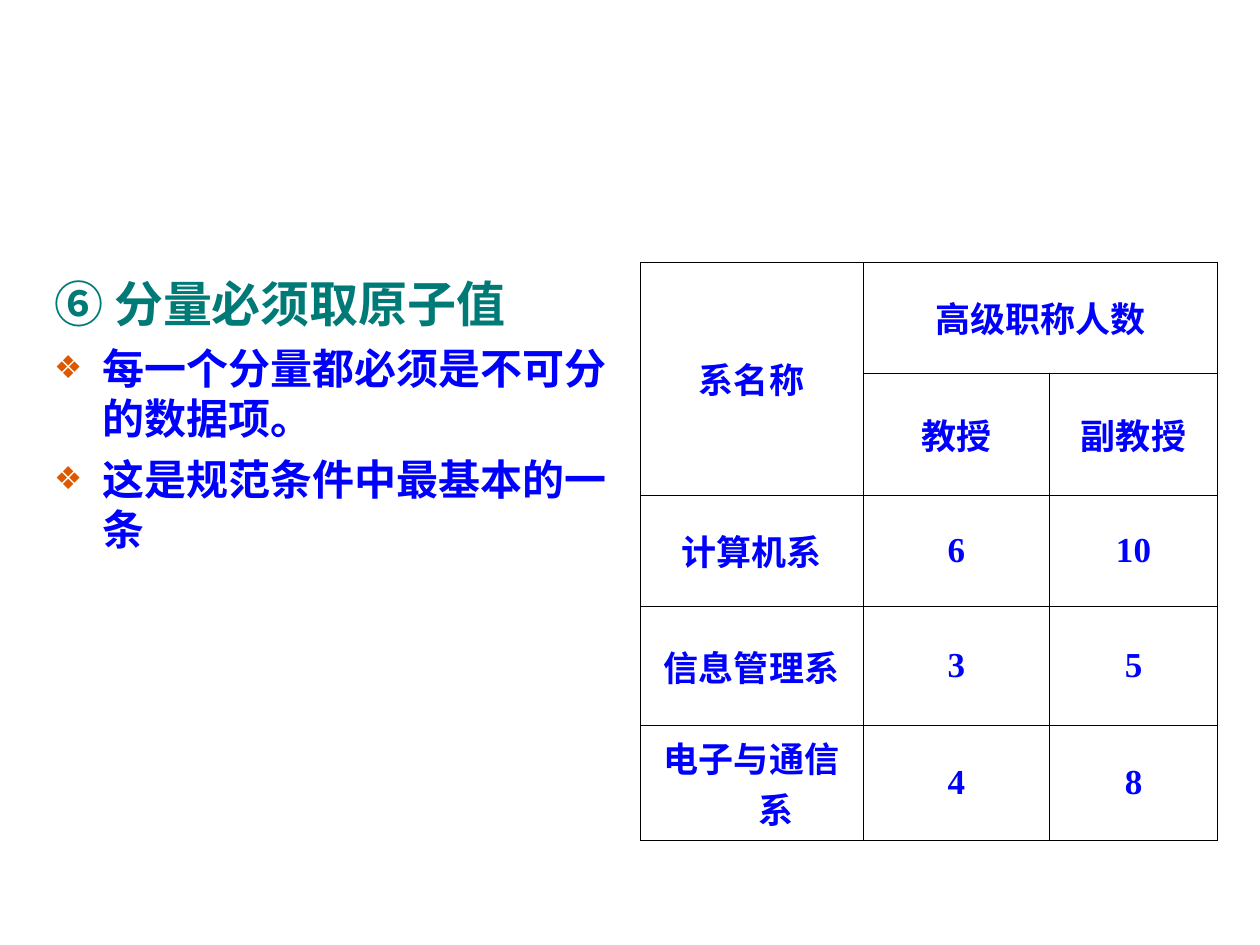
from lxml.etree import SubElement
from pptx import Presentation
from pptx.dml.color import RGBColor
from pptx.enum.text import MSO_ANCHOR, MSO_AUTO_SIZE, PP_ALIGN
from pptx.oxml.ns import qn
from pptx.util import Cm, Pt

HUES = {"head": "007A77", "text": "0000FF", "mark": "DC5900", "line": "000000"}
POINTS = [
    ("⑥ 分量必须取原子值", "head", 28, None),
    ("每一个分量都必须是不可分的数据项。", "text", 24, "❖"),
    ("这是规范条件中最基本的一条", "text", 24, "❖"),
]
ROWS = [
    ("系名称", "高级职称人数", ""),
    ("", "教授", "副教授"),
    ("计算机系", "6", "10"),
    ("信息管理系", "3", "5"),
    ("电子与通信系", "4", "8"),
]
MERGES = [((0, 0), (1, 0)), ((0, 1), (0, 2))]
WIDTHS = (4.5, 3.76, 3.38)
HEIGHTS = (2.24, 2.46, 2.24, 2.41, 2.31)
TOP, SIDE, INDENT = 5.28, 11.66, 0.97
LEFTS = {"body": 0.84, "table": 12.9}


def assign(item, values):
    """Set each named value on the item."""
    for name, value in values.items():
        setattr(item, name, value)


def write(para, text, hue, size, face):
    """Add one bold run to the paragraph."""
    run = para.add_run()
    run.text = text
    assign(run.font, {"size": Pt(size), "name": face, "bold": True})
    run.font.color.rgb = RGBColor.from_string(HUES[hue])


def hang(para, mark=None):
    """Give the paragraph a hanging indent and its bullet."""
    props = para._p.get_or_add_pPr()
    props.set("marL", str(Cm(INDENT)))
    props.set("indent", str(-Cm(INDENT)))
    if mark:
        color = SubElement(props, qn("a:buClr"))
        SubElement(color, qn("a:srgbClr"), val=HUES["mark"])
        SubElement(props, qn("a:buSzPct"), val="75000")
        SubElement(props, qn("a:buChar"), char=mark)
    else:
        SubElement(props, qn("a:buNone"))


def border(cell):
    """Draw thin lines on all four sides of the cell."""
    props = cell._tc.get_or_add_tcPr()
    for side in ("lnL", "lnR", "lnT", "lnB"):
        line = SubElement(props, qn(f"a:{side}"), w=str(Pt(0.45)))
        fill = SubElement(line, qn("a:solidFill"))
        SubElement(fill, qn("a:srgbClr"), val=HUES["line"])


def add_body(slide):
    """Fill the body placeholder with the points."""
    body = slide.placeholders[1]
    assign(body, {"left": Cm(LEFTS["body"]), "top": Cm(TOP),
                  "width": Cm(SIDE), "height": Cm(SIDE)})
    frame = body.text_frame
    assign(frame, {"word_wrap": True, "auto_size": MSO_AUTO_SIZE.NONE,
                   "vertical_anchor": MSO_ANCHOR.TOP,
                   "margin_left": Cm(0.25), "margin_right": Cm(0.25),
                   "margin_top": Cm(0.23), "margin_bottom": Cm(0.13)})
    for num, (text, hue, size, mark) in enumerate(POINTS):
        para = frame.add_paragraph() if num else frame.paragraphs[0]
        hang(para, mark)
        assign(para, {"space_before": Pt(6 if num else 0),
                      "line_spacing": Pt(round(size * 1.195, 1))})
        write(para, text, hue, size, "Arial")


def add_grid(slide):
    """Add the staff table with its merged heads."""
    table = slide.shapes.add_table(
        len(ROWS), len(WIDTHS), Cm(LEFTS["table"]), Cm(TOP),
        Cm(sum(WIDTHS)), Cm(sum(HEIGHTS))).table
    assign(table, {"first_row": False, "horz_banding": False})
    for col, width in zip(table.columns, WIDTHS):
        col.width = Cm(width)
    for row, height, texts in zip(table.rows, HEIGHTS, ROWS):
        row.height = Cm(height)
        for cell, text in zip(row.cells, texts):
            border(cell)
            cell.fill.background()
            cell.vertical_anchor = MSO_ANCHOR.MIDDLE
            if text:
                para = cell.text_frame.paragraphs[0]
                hang(para)
                para.alignment = PP_ALIGN.CENTER
                write(para, text, "text", 20, "Times New Roman")
    for first, last in MERGES:
        table.cell(*first).merge(table.cell(*last))


def main():
    """Build and save the slide."""
    deck = Presentation()
    assign(deck, {"slide_width": Cm(25.4), "slide_height": Cm(19.05)})
    slide = deck.slides.add_slide(deck.slide_layouts[1])
    title = slide.shapes.title._element
    title.getparent().remove(title)
    add_body(slide)
    add_grid(slide)
    deck.save("out.pptx")


if __name__ == "__main__":
    main()
